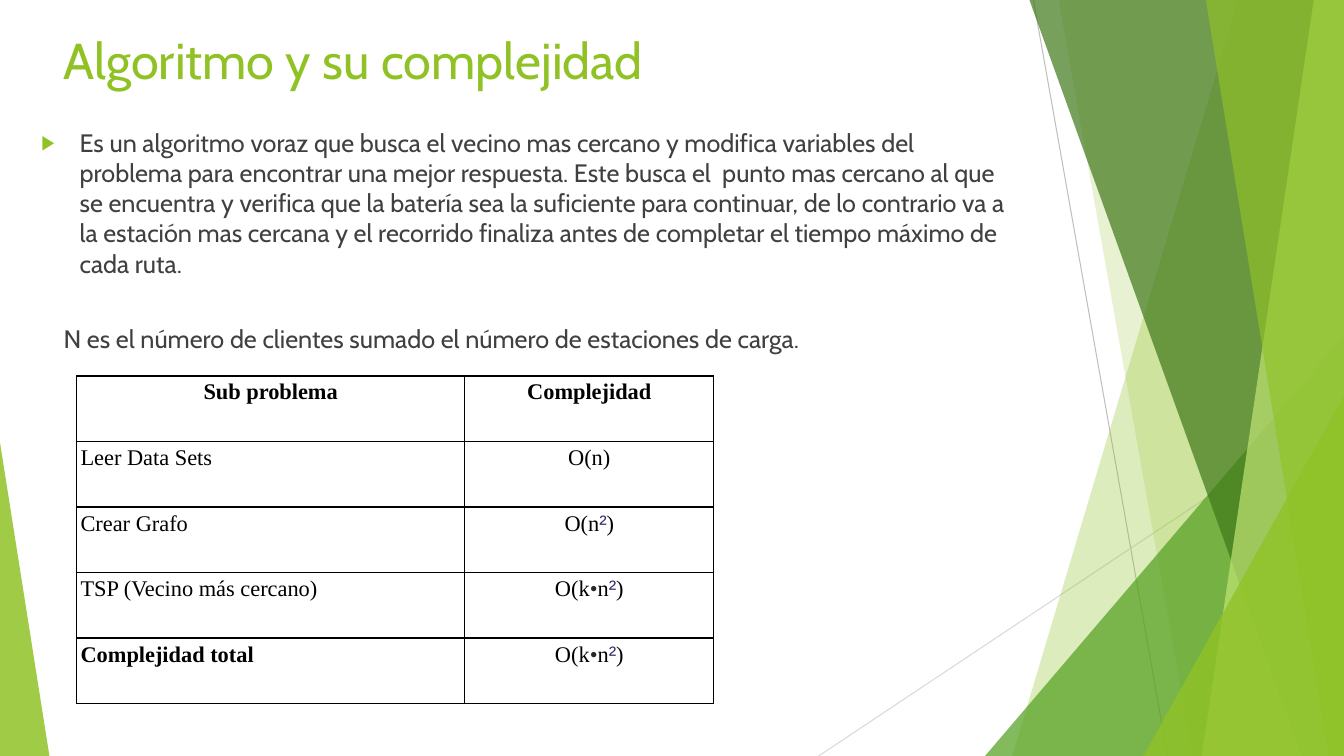
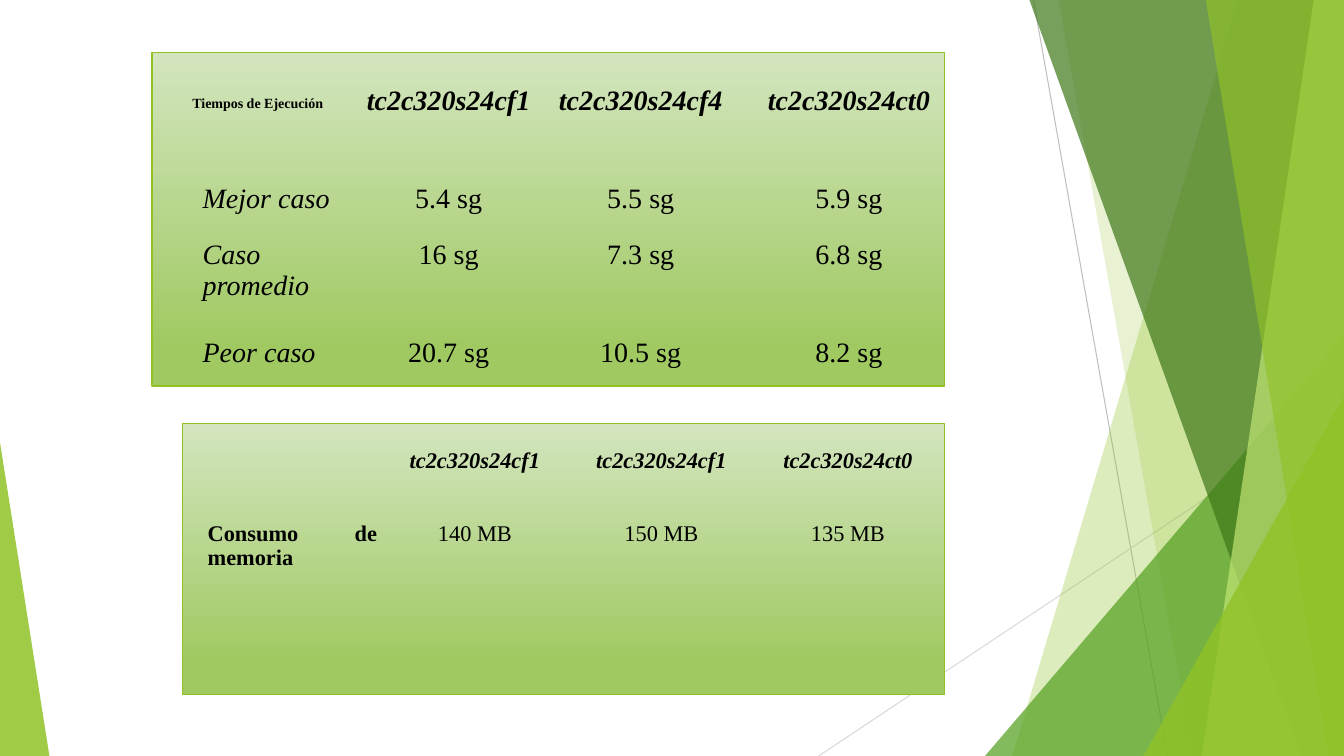
from dataclasses import dataclass
from itertools import groupby

from lxml import etree
from pptx import Presentation
from pptx.dml.color import RGBColor
from pptx.enum import shapes, text
from pptx.oxml.ns import qn
from pptx.util import Inches, Pt

WIDTH, HEIGHT = 13.33, 7.5
WHOLE_TITLE_LAYOUT, BLANK_LAYOUT = 1, 6

LIME = RGBColor(0x90, 0xC2, 0x26)
GREEN = RGBColor(0x54, 0xA0, 0x21)
FOREST = RGBColor(0x3F, 0x78, 0x19)
PALE_LIME = RGBColor(0xC0, 0xE4, 0x74)
PANEL_TOP = RGBColor(0xD3, 0xE5, 0xBE)
PANEL_BOTTOM = RGBColor(0xA0, 0xC9, 0x62)
GREY = RGBColor(0xBF, 0xBF, 0xBF)
LIGHT_GREY = RGBColor(0xD9, 0xD9, 0xD9)
CHARCOAL = RGBColor(0x40, 0x40, 0x40)
BLACK = RGBColor(0, 0, 0)

HEADING_FONT, TABLE_FONT = "Cabin", "Times New Roman"
SYMBOL_STYLES = {
    "²": ("Arial", RGBColor(0x33, 0x33, 0x66)),
    "•": (TABLE_FONT, RGBColor(0x26, 0x28, 0x2A)),
}


@dataclass(frozen=True)
class Ray:
    start: tuple[float, float]
    end: tuple[float, float]
    color: RGBColor


@dataclass(frozen=True)
class Band:
    """Area between a slanted left edge and the right side of the slide."""
    top_x: float
    bottom_x: float
    color: RGBColor
    opacity: int


@dataclass(frozen=True)
class Wedge:
    """Triangle standing on the bottom of the slide; apex 0 is left, 1 right."""
    left: float
    top: float
    width: float
    apex: int
    color: RGBColor
    opacity: int


@dataclass(frozen=True)
class Grid:
    left: float
    top: float
    widths: tuple[float, ...]
    heights: tuple[float, ...]
    rows: tuple[tuple[str, ...], ...]
    size: int
    indent: float = 0.04
    border: RGBColor | None = None
    header_italic: bool = True
    label_italic: bool = False
    bold_labels: tuple[int, ...] = ()


RAYS = (
    Ray((10.25, 0), (11.58, HEIGHT), GREY),
    Ray((WIDTH, 4.03), (8.12, HEIGHT), LIGHT_GREY),
)
FACETS = (
    Band(12.28, 10.04, LIME, 30),
    Band(10.5, 11.83, LIME, 20),
    Wedge(9.77, 3.33, 3.56, 1, GREEN, 72),
    Band(10.21, 12.91, FOREST, 70),
    Band(13.03, 11.92, PALE_LIME, 70),
    Band(11.96, 13.18, LIME, 65),
    Wedge(11.34, 3.93, 1.99, 1, LIME, 80),
    Wedge(0, 4.39, 0.49, 0, LIME, 85),
)
PANELS = ((1.81, 4.2, 7.56, 2.69), (1.51, 0.52, 7.86, 3.31))

COMPLEXITY = Grid(
    0.76, 3.73, (3.85, 2.47), (0.65,) * 5,
    (
        ("Sub problema", "Complejidad"),
        ("Leer Data Sets", "O(n)"),
        ("Crear Grafo", "O(n²)"),
        ("TSP (Vecino más cercano)", "O(k•n²)"),
        ("Complejidad total", "O(k•n²)"),
    ),
    size=16, indent=0, border=BLACK, header_italic=False, bold_labels=(4,),
)
TIMES = Grid(
    1.93, 0.81, (1.51, 1.98, 1.83, 2.3), (0.97, 0.56, 0.97, 0.56),
    (
        ("", "tc2c320s24cf1", "tc2c320s24cf4", "tc2c320s24ct0"),
        ("Mejor caso", "5.4 sg", "5.5 sg", "5.9 sg"),
        ("Caso promedio", "16 sg", "7.3 sg", "6.8 sg"),
        ("Peor caso", "20.7 sg", "10.5 sg", "8.2 sg"),
    ),
    size=20, label_italic=True,
)
MEMORY = Grid(
    1.98, 4.41, (1.8, 1.82, 1.88, 1.82), (0.72, 1.63),
    (
        ("", "tc2c320s24cf1", "tc2c320s24cf1", "tc2c320s24ct0"),
        ("Consumo de memoria", "140 MB", "150 MB", "135 MB"),
    ),
    size=16, bold_labels=(1,),
)

ALGORITHM = (
    "Es un algoritmo voraz que busca el vecino mas cercano y modifica variables del "
    "problema para encontrar una mejor respuesta. Este busca el  punto mas cercano al "
    "que se encuentra y verifica que la batería sea la suficiente para continuar, de lo "
    "contrario va a la estación mas cercana y el recorrido finaliza antes de completar "
    "el tiempo máximo de cada ruta."
)
N_MEANING = "N es el número de clientes sumado el número de estaciones de carga."


def place(shape, left: float, top: float, width: float, height: float) -> None:
    shape.left, shape.top = Inches(left), Inches(top)
    shape.width, shape.height = Inches(width), Inches(height)


def style_run(run, font: str, size: float, color: RGBColor,
              bold: bool = False, italic: bool = False) -> None:
    run.font.name, run.font.size = font, Pt(size)
    run.font.color.rgb = color
    run.font.bold, run.font.italic = bold, italic


def set_indent(paragraph, left: float, first: float = 0):
    properties = paragraph._p.get_or_add_pPr()
    properties.set("marL", str(Inches(left)))
    properties.set("indent", str(Inches(first)))
    return properties


def draw_ray(group, ray: Ray) -> None:
    line = group.shapes.add_connector(
        shapes.MSO_CONNECTOR.STRAIGHT, *map(Inches, ray.start + ray.end))
    line.line.color.rgb = ray.color
    line.line.width = Pt(0.75)
    etree.SubElement(line.element.spPr, qn("a:effectLst"))


def draw_facet(group, facet: Band | Wedge) -> None:
    if isinstance(facet, Band):
        outline = group.shapes.build_freeform(Inches(facet.top_x), 0)
        corners = ((WIDTH, 0), (WIDTH, HEIGHT), (facet.bottom_x, HEIGHT))
        outline.add_line_segments([(Inches(x), Inches(y)) for x, y in corners])
        shape = outline.convert_to_shape()
    else:
        box = (facet.left, facet.top, facet.width, HEIGHT - facet.top)
        shape = group.shapes.add_shape(
            shapes.MSO_SHAPE.ISOSCELES_TRIANGLE, *map(Inches, box))
        shape.adjustments[0] = facet.apex
    shape.shadow.inherit = False
    shape.line.fill.background()
    shape.fill.solid()
    shape.fill.fore_color.rgb = facet.color
    color = next(shape.element.spPr.iter(qn("a:srgbClr")))
    etree.SubElement(color, qn("a:alpha"), val=str(facet.opacity * 1000))


def add_backdrop(master, slide) -> None:
    """Draw the shared facets as a group and hand it over to the master."""
    group = slide.shapes.add_group_shape()
    for ray in RAYS:
        draw_ray(group, ray)
    for facet in FACETS:
        draw_facet(group, facet)
    for number, properties in enumerate(group.element.iter(qn("p:cNvPr")), 100):
        properties.set("id", str(number))
    master.element.cSld.spTree.insert(2, group.element)


def set_borders(cell, color: RGBColor | None) -> None:
    properties = cell._tc.get_or_add_tcPr()
    for position, side in enumerate(("lnL", "lnR", "lnT", "lnB")):
        edge = etree.Element(qn(f"a:{side}"), w=str(Pt(1)))
        if color is None:
            etree.SubElement(edge, qn("a:noFill"))
        else:
            fill = etree.SubElement(edge, qn("a:solidFill"))
            etree.SubElement(fill, qn("a:srgbClr"), val=str(color))
        properties.insert(position, edge)


def fill_cell(cell, grid: Grid, row: int, column: int) -> None:
    cell.fill.background()
    set_borders(cell, grid.border)
    cell.margin_left = cell.margin_right = Inches(0.04)
    cell.margin_top = cell.margin_bottom = Inches(0.04)
    header, label = row == 0, row > 0 and column == 0
    paragraph = cell.text_frame.paragraphs[0]
    paragraph.alignment = text.PP_ALIGN.JUSTIFY if label else text.PP_ALIGN.CENTER
    paragraph.space_after = Pt(6)
    set_indent(paragraph, grid.indent)
    bold = header or (label and row in grid.bold_labels)
    italic = (header and grid.header_italic) or (label and grid.label_italic)
    plain = (TABLE_FONT, BLACK)
    pieces = groupby(grid.rows[row][column], lambda c: SYMBOL_STYLES.get(c, plain))
    for (font, color), letters in pieces:
        run = paragraph.add_run()
        run.text = "".join(letters)
        style_run(run, font, grid.size, color, bold, italic)


def add_grid(slide, grid: Grid) -> None:
    box = (grid.left, grid.top, sum(grid.widths), sum(grid.heights))
    table = slide.shapes.add_table(
        len(grid.heights), len(grid.widths), *map(Inches, box)).table
    table.first_row = table.horz_banding = False
    for column, width in zip(table.columns, grid.widths):
        column.width = Inches(width)
    for r, height in enumerate(grid.heights):
        table.rows[r].height = Inches(height)
        for c in range(len(grid.widths)):
            fill_cell(table.cell(r, c), grid, r, c)


def add_panel(slide, box: tuple[float, ...]) -> None:
    panel = slide.shapes.add_shape(shapes.MSO_SHAPE.RECTANGLE, *map(Inches, box))
    panel.shadow.inherit = False
    panel.line.color.rgb = LIME
    panel.line.width = Pt(1)
    panel.fill.gradient()
    panel.fill.gradient_angle = 270
    stops = zip(panel.fill.gradient_stops, ((0, PANEL_TOP), (0.88, PANEL_BOTTOM)))
    for stop, (position, color) in stops:
        stop.position = position
        stop.color.rgb = color


def add_title(slide, wording: str) -> None:
    title = slide.shapes.title
    place(title, 0.53, 0.24, 9.4, 1.44)
    title.text_frame.text = wording
    title.text_frame.vertical_anchor = text.MSO_ANCHOR.TOP
    title.text_frame.auto_size = text.MSO_AUTO_SIZE.NONE
    paragraph = title.text_frame.paragraphs[0]
    paragraph.alignment = text.PP_ALIGN.LEFT
    style_run(paragraph.runs[0], HEADING_FONT, 36, LIME)


def add_explanation(slide) -> None:
    body = slide.placeholders[1]
    place(body, 0.31, 1.21, 9.83, 5.03)
    frame = body.text_frame
    frame.auto_size = text.MSO_AUTO_SIZE.NONE
    frame.text = f"{ALGORITHM}\n{N_MEANING}"
    algorithm, meaning = frame.paragraphs
    for paragraph, gap in ((algorithm, 10), (meaning, 32)):
        paragraph.space_before = Pt(gap)
        style_run(paragraph.runs[0], HEADING_FONT, 18, CHARCOAL)
    bulleted = set_indent(algorithm, 0.38, -0.38)
    color = etree.SubElement(bulleted, qn("a:buClr"))
    etree.SubElement(color, qn("a:srgbClr"), val=str(LIME))
    etree.SubElement(bulleted, qn("a:buSzPct"), val="80000")
    etree.SubElement(bulleted, qn("a:buChar"), char="▶")
    etree.SubElement(set_indent(meaning, 0.22), qn("a:buNone"))


def add_times_caption(slide) -> None:
    caption = slide.shapes.add_textbox(*map(Inches, (1.81, 0.88, 1.6, 0.28)))
    frame = caption.text_frame
    frame.word_wrap = True
    frame.vertical_anchor = text.MSO_ANCHOR.MIDDLE
    frame.text = "Tiempos de Ejecución"
    style_run(frame.paragraphs[0].runs[0], TABLE_FONT, 10, BLACK, bold=True)


def main() -> None:
    deck = Presentation()
    deck.slide_width, deck.slide_height = Inches(WIDTH), Inches(HEIGHT)

    complexity = deck.slides.add_slide(deck.slide_layouts[WHOLE_TITLE_LAYOUT])
    add_backdrop(deck.slide_master, complexity)
    add_title(complexity, "Algoritmo y su complejidad")
    add_explanation(complexity)
    add_grid(complexity, COMPLEXITY)

    results = deck.slides.add_slide(deck.slide_layouts[BLANK_LAYOUT])
    for box in PANELS:
        add_panel(results, box)
    add_grid(results, TIMES)
    add_times_caption(results)
    add_grid(results, MEMORY)

    deck.save("out.pptx")


if __name__ == "__main__":
    main()
